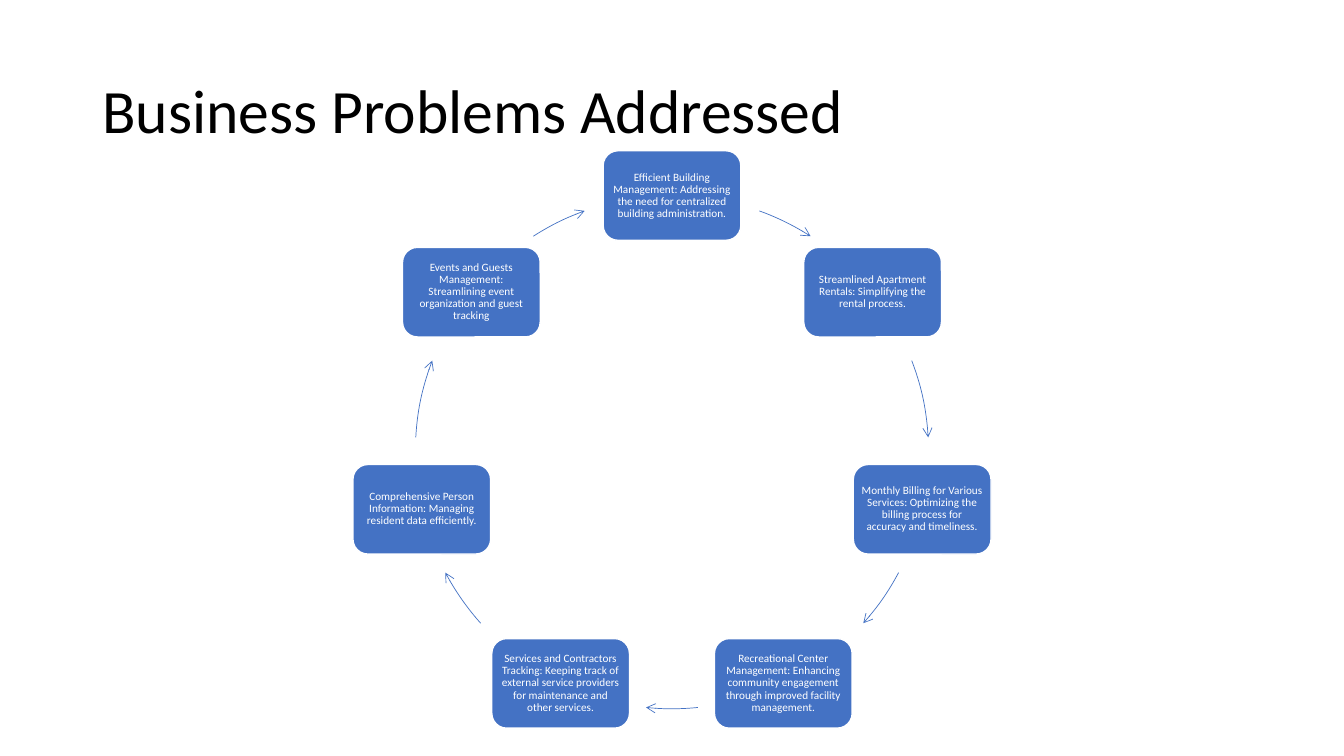
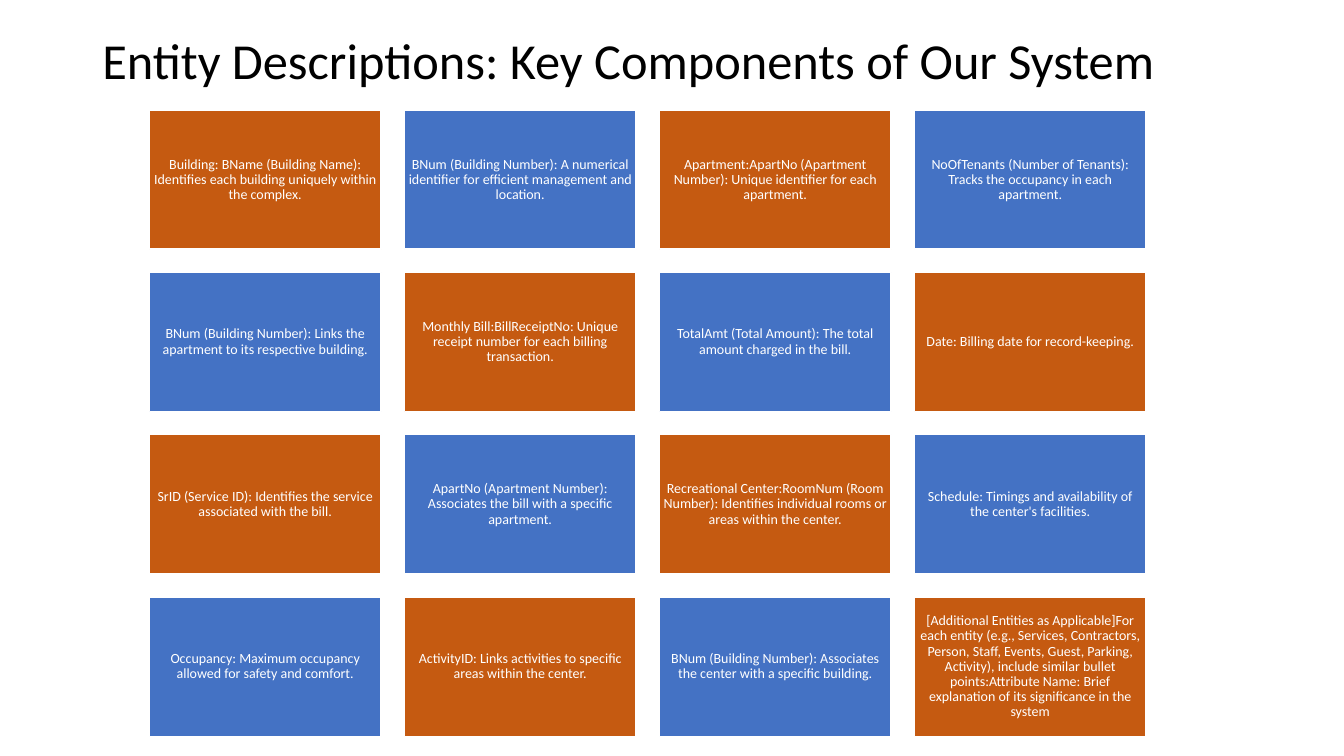
from dataclasses import dataclass
from math import cos, radians, sin

from lxml import etree
from pptx import Presentation
from pptx.dml.color import RGBColor
from pptx.enum import shapes, text
from pptx.oxml import ns
from pptx.util import Pt

# Shared style
FONT = "Calibri"
BLACK = RGBColor(0x00, 0x00, 0x00)
WHITE = RGBColor(0xFF, 0xFF, 0xFF)
BLUE = RGBColor(0x44, 0x72, 0xC4)
ORANGE = RGBColor(0xC5, 0x5A, 0x11)
SLIDE_WIDTH, SLIDE_HEIGHT = 960, 540
TITLE_LEFT, TITLE_WIDTH = 66, 828

# Ring of problems: centre, radius and box size in points
CENTER_X, CENTER_Y, RADIUS = 480, 323, 183.3
PROBLEM_WIDTH, PROBLEM_HEIGHT = 98.4, 64

# Grid of entities, in points
COLUMNS = 4
GRID_LEFT, GRID_TOP, GAP = 106.6, 78.6, 16.56
ENTITY_WIDTH, ENTITY_HEIGHT = 165.6, 99.4


@dataclass(frozen=True)
class Box:
    left: float
    top: float
    width: float
    height: float


@dataclass(frozen=True)
class Problem:
    """A box on the ring; its arrow runs between two clockwise degrees from the top."""
    label: str
    arrow_start: float
    arrow_end: float


PROBLEMS = [
    Problem("Efficient Building Management: Addressing the need for centralized "
            "building administration.", 19.9, 32.7),
    Problem("Streamlined Apartment Rentals: Simplifying the rental process.", 69.1, 86.7),
    Problem("Monthly Billing for Various Services: Optimizing the billing process "
            "for accuracy and timeliness.", 118, 131.8),
    Problem("Recreational Center Management: Enhancing community engagement through "
            "improved facility management.", 174.2, 185.8),
    Problem("Services and Contractors Tracking: Keeping track of external service "
            "providers for maintenance and other services.", 228.2, 242),
    Problem("Comprehensive Person Information: Managing resident data efficiently.",
            273.3, 290.9),
    Problem("Events and Guests Management: Streamlining event organization and guest "
            "tracking", 327.3, 340.1),
]

ENTITIES = [
    "Building: BName (Building Name): Identifies each building uniquely within the complex.",
    "BNum (Building Number): A numerical identifier for efficient management and location.",
    "Apartment:ApartNo (Apartment Number): Unique identifier for each apartment.",
    "NoOfTenants (Number of Tenants): Tracks the occupancy in each apartment.",
    "BNum (Building Number): Links the apartment to its respective building.",
    "Monthly Bill:BillReceiptNo: Unique receipt number for each billing transaction.",
    "TotalAmt (Total Amount): The total amount charged in the bill.",
    "Date: Billing date for record-keeping.",
    "SrID (Service ID): Identifies the service associated with the bill.",
    "ApartNo (Apartment Number): Associates the bill with a specific apartment.",
    "Recreational Center:RoomNum (Room Number): Identifies individual rooms or areas "
    "within the center.",
    "Schedule: Timings and availability of the center's facilities.",
    "Occupancy: Maximum occupancy allowed for safety and comfort.",
    "ActivityID: Links activities to specific areas within the center.",
    "BNum (Building Number): Associates the center with a specific building.",
    "[Additional Entities as Applicable]For each entity (e.g., Services, Contractors, "
    "Person, Staff, Events, Guest, Parking, Activity), include similar bullet "
    "points:Attribute Name: Brief explanation of its significance in the system",
]


def write_text(shape, content: str, *, size: float, color: RGBColor,
               align=text.PP_ALIGN.LEFT, inset: float | None = None) -> None:
    frame = shape.text_frame
    frame.word_wrap = True
    frame.vertical_anchor = text.MSO_ANCHOR.MIDDLE
    if inset is not None:
        frame.margin_left = frame.margin_right = Pt(inset)
        frame.margin_top = frame.margin_bottom = Pt(inset)
    paragraph = frame.paragraphs[0]
    paragraph.alignment = align
    paragraph.line_spacing = 0.9
    run = paragraph.add_run()
    run.text = content
    run.font.name = FONT
    run.font.size = Pt(size)
    run.font.color.rgb = color


def add_preset(slide, kind, box: Box):
    shape = slide.shapes.add_shape(
        kind, Pt(box.left), Pt(box.top), Pt(box.width), Pt(box.height))
    shape.shadow.inherit = False
    return shape


def add_titled_slide(presentation, title: str, *, top: float, height: float, size: float):
    slide = presentation.slides.add_slide(presentation.slide_layouts[6])
    title_box = slide.shapes.add_textbox(
        Pt(TITLE_LEFT), Pt(top), Pt(TITLE_WIDTH), Pt(height))
    write_text(title_box, title, size=size, color=BLACK)
    return slide


def add_card(slide, kind, box: Box, label: str, *, fill: RGBColor,
             size: float, inset: float) -> None:
    card = add_preset(slide, kind, box)
    card.fill.solid()
    card.fill.fore_color.rgb = fill
    card.line.color.rgb = WHITE
    card.line.width = Pt(1)
    write_text(card, label, size=size, color=WHITE,
               align=text.PP_ALIGN.CENTER, inset=inset)


def add_ring_arrow(slide, start: float, end: float) -> None:
    ring = Box(CENTER_X - RADIUS, CENTER_Y - RADIUS, 2 * RADIUS, 2 * RADIUS)
    arrow = add_preset(slide, shapes.MSO_SHAPE.ARC, ring)
    for index, angle in enumerate((start, end)):
        # Arc angles count from the right, in units of 1/60000 degree over 100000
        arrow.adjustments[index] = (angle - 90) % 360 * 0.6
    arrow.fill.background()
    arrow.line.color.rgb = BLUE
    arrow.line.width = Pt(0.5)
    line = arrow.line._get_or_add_ln()
    etree.SubElement(line, ns.qn("a:tailEnd"), type="arrow")


def build_problems(presentation) -> None:
    slide = add_titled_slide(presentation, "Business Problems Addressed",
                             top=28.8, height=104.4, size=44)
    for index, problem in enumerate(PROBLEMS):
        angle = radians(360 * index / len(PROBLEMS))
        box = Box(CENTER_X + RADIUS * sin(angle) - PROBLEM_WIDTH / 2,
                  CENTER_Y - RADIUS * cos(angle) - PROBLEM_HEIGHT / 2,
                  PROBLEM_WIDTH, PROBLEM_HEIGHT)
        add_card(slide, shapes.MSO_SHAPE.ROUNDED_RECTANGLE, box, problem.label,
                 fill=BLUE, size=8, inset=2.4)
        add_ring_arrow(slide, problem.arrow_start, problem.arrow_end)


def build_entities(presentation) -> None:
    slide = add_titled_slide(
        presentation, "Entity Descriptions: Key Components of Our System",
        top=12.2, height=66.2, size=36)
    for index, entity in enumerate(ENTITIES):
        row, column = divmod(index, COLUMNS)
        box = Box(GRID_LEFT + column * (ENTITY_WIDTH + GAP),
                  GRID_TOP + row * (ENTITY_HEIGHT + GAP),
                  ENTITY_WIDTH, ENTITY_HEIGHT)
        add_card(slide, shapes.MSO_SHAPE.RECTANGLE, box, entity,
                 fill=BLUE if (row + column) % 2 else ORANGE, size=10, inset=3)


def main() -> None:
    presentation = Presentation()
    presentation.slide_width = Pt(SLIDE_WIDTH)
    presentation.slide_height = Pt(SLIDE_HEIGHT)
    build_problems(presentation)
    build_entities(presentation)
    presentation.save("out.pptx")


if __name__ == "__main__":
    main()
